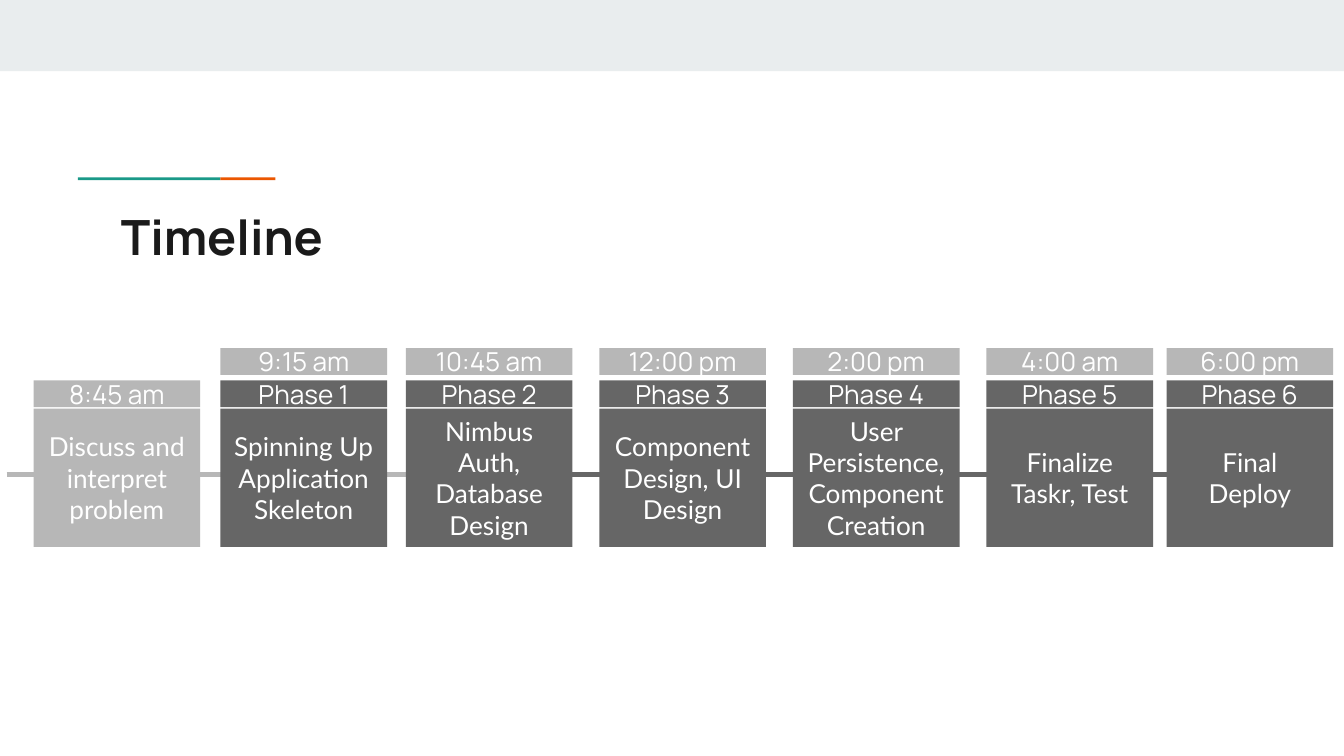
from lxml import etree
from pptx import Presentation
from pptx.dml.color import RGBColor
from pptx.enum import shapes, text
from pptx.oxml.ns import qn
from pptx.util import Inches, Pt

BAND = RGBColor(0xE9, 0xED, 0xEE)
TEAL = RGBColor(0x1A, 0x99, 0x88)
ORANGE = RGBColor(0xEB, 0x56, 0x00)
INK = RGBColor(0x1A, 0x1A, 0x1A)
DARK = RGBColor(0x66, 0x66, 0x66)
LIGHT = RGBColor(0xB7, 0xB7, 0xB7)
WHITE = RGBColor(0xFF, 0xFF, 0xFF)

STAGE_WIDTH = 1.24
STRIP_HEIGHT = 0.2
STAGES = [
    (0.25, None, "8:45 am", "Discuss and interpret problem", LIGHT),
    (1.64, "9:15 am", "Phase 1", "Spinning Up Application Skeleton", DARK),
    (3.02, "10:45 am", "Phase 2", "Nimbus Auth, Database Design", DARK),
    (4.46, "12:00 pm", "Phase 3", "Component Design, UI Design", DARK),
    (5.9, "2:00 pm", "Phase 4", "User Persistence, Component Creation", DARK),
    (7.34, "4:00 am", "Phase 5", "Finalize Taskr, Test", DARK),
    (8.68, "6:00 pm", "Phase 6", "Final Deploy", DARK),
]


def write_text(shape, words, *, font="Manrope", size=14, color=WHITE, bold=False,
               align=text.PP_ALIGN.CENTER, anchor=text.MSO_ANCHOR.MIDDLE):
    """Put formatted words in a shape with even insets."""
    frame = shape.text_frame
    frame.word_wrap = True
    frame.auto_size = text.MSO_AUTO_SIZE.NONE
    frame.vertical_anchor = anchor
    frame.margin_left = frame.margin_right = Inches(0.1)
    frame.margin_top = frame.margin_bottom = Inches(0.1)
    para = frame.paragraphs[0]
    para.alignment = align
    span = para.add_run()
    span.text = words
    span.font.name = font
    span.font.size = Pt(size)
    span.font.bold = bold
    span.font.color.rgb = color


def add_box(page, left, top, width, height, fill):
    """Add a flat rectangle without outline."""
    box = page.shapes.add_shape(shapes.MSO_SHAPE.RECTANGLE, Inches(left), Inches(top),
                                Inches(width), Inches(height))
    box.shadow.inherit = False
    box.fill.solid()
    box.fill.fore_color.rgb = fill
    box.line.fill.background()
    return box


def add_rail(page, start, end, top, color):
    """Add a horizontal stretch of the timeline."""
    rail = page.shapes.add_connector(shapes.MSO_CONNECTOR.STRAIGHT, Inches(start),
                                     Inches(top), Inches(end), Inches(top))
    rail.line.color.rgb = color
    rail.line.width = Pt(3)
    etree.SubElement(rail._element.spPr, qn("a:effectLst"))


def add_heading(page, left, top, width, height):
    """Place the top band, the two-colour accent and the title."""
    add_box(page, 0, 0, 10, 0.53, BAND)
    add_box(page, left - 0.22, top - 0.12, 1.06, 0.02, TEAL)
    add_box(page, left + 0.84, top - 0.12, 0.41, 0.02, ORANGE)
    title = page.shapes.title
    title.left, title.top = Inches(left), Inches(top)
    title.width, title.height = Inches(width), Inches(height)
    write_text(title, "Timeline", size=26, color=INK, bold=True,
               align=text.PP_ALIGN.LEFT, anchor=text.MSO_ANCHOR.TOP)


def add_stage(page, left, top, time, label, task, color):
    """Stack the time, label and task of one stage."""
    if time:
        write_text(add_box(page, left, top, STAGE_WIDTH, STRIP_HEIGHT, LIGHT), time)
    write_text(add_box(page, left, top + 0.24, STAGE_WIDTH, STRIP_HEIGHT, color), label)
    write_text(add_box(page, left, top + 0.45, STAGE_WIDTH, 1.03, color), task, font="Lato")


def add_timeline(page, top):
    """Draw the rails and the stages over them."""
    add_rail(page, 4.14, 9.73, top + 0.94, DARK)
    add_rail(page, 0.05, 3.92, top + 0.94, LIGHT)
    for left, *details in STAGES:
        add_stage(page, left, top, *details)


def main():
    """Build and save the deck."""
    deck = Presentation()
    deck.slide_width = Inches(10)
    deck.slide_height = deck.slide_width * 9 // 16
    page = deck.slides.add_slide(deck.slide_layouts[5])
    page.background.fill.solid()
    page.background.fill.fore_color.rgb = WHITE
    add_heading(page, 0.8, 1.44, 8.41, 0.59)
    add_timeline(page, 2.59)
    deck.save("out.pptx")


if __name__ == "__main__":
    main()
